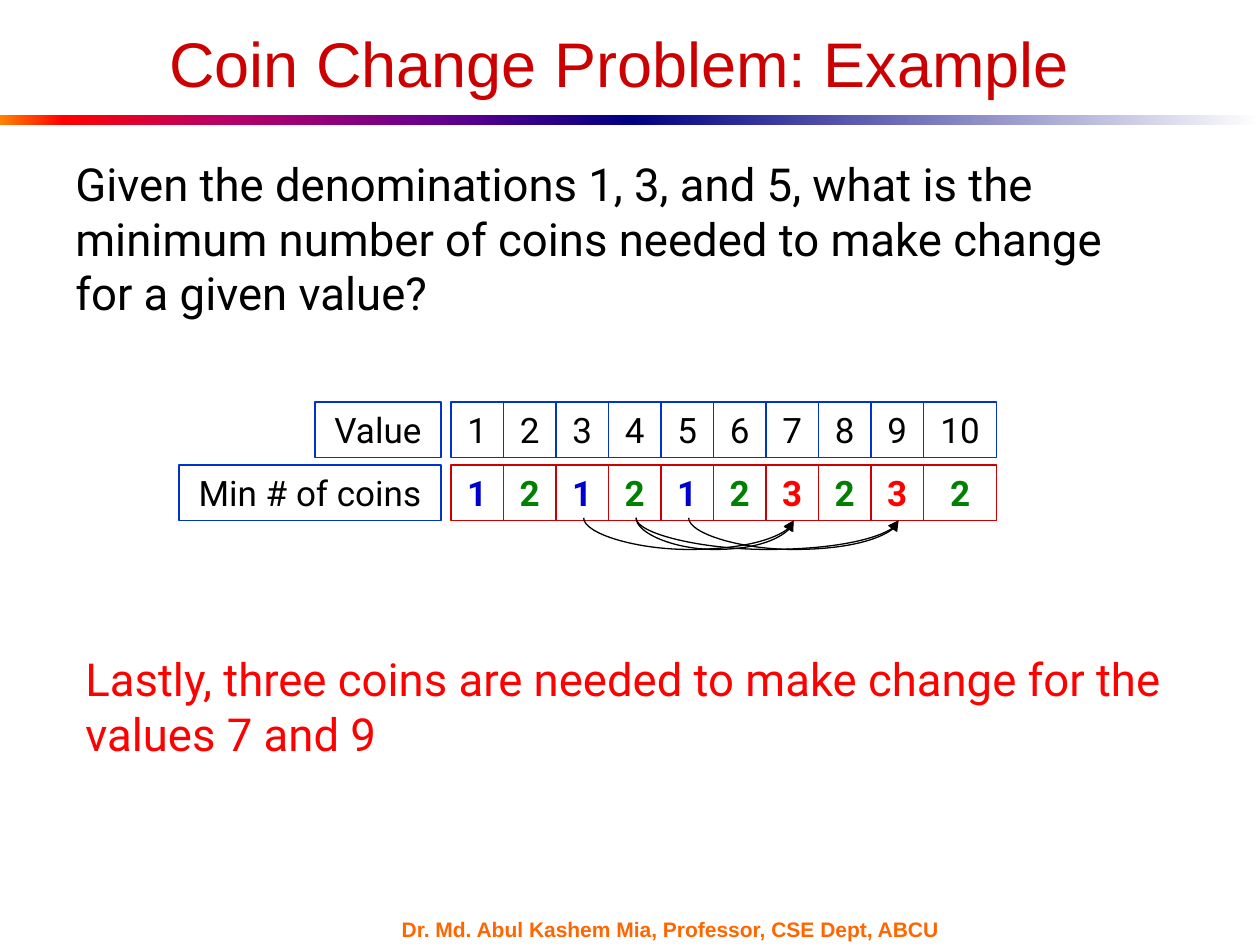
from lxml.etree import SubElement
from pptx import Presentation
from pptx.dml.color import RGBColor
from pptx.enum.shapes import MSO_CONNECTOR, MSO_SHAPE
from pptx.enum.text import MSO_ANCHOR, PP_ALIGN
from pptx.oxml.ns import qn
from pptx.util import Inches, Pt

BLACK = RGBColor(0x00, 0x00, 0x00)
RED = RGBColor(0xFF, 0x00, 0x00)
DARK_RED = RGBColor(0xCC, 0x00, 0x00)
GREEN = RGBColor(0x00, 0x80, 0x00)
BLUE = RGBColor(0x00, 0x00, 0xCC)
BORDER_BLUE = RGBColor(0x00, 0x33, 0xCC)
ORANGE = RGBColor(0xFF, 0x66, 0x00)
NAVY = RGBColor(0x00, 0x00, 0x82)
WHITE = RGBColor(0xFF, 0xFF, 0xFF)
AMBER = RGBColor(0xFF, 0x82, 0x00)
CRIMSON = RGBColor(0xBA, 0x00, 0x66)
PURPLE = RGBColor(0x66, 0x00, 0x8F)

prs = Presentation()
prs.slide_width, prs.slide_height = Inches(10), Inches(7.5)
slide = prs.slides.add_slide(prs.slide_layouts[6])


def add_text(text, left, top, width, height, size, color, font="Roboto",
             bold=False, align=PP_ALIGN.LEFT, anchor=MSO_ANCHOR.TOP, wrap=True):
    box = slide.shapes.add_textbox(Inches(left), Inches(top), Inches(width), Inches(height))
    box.text_frame.word_wrap = wrap
    box.text_frame.vertical_anchor = anchor
    paragraph = box.text_frame.paragraphs[0]
    paragraph.text = text
    paragraph.alignment = align
    paragraph.font.name = font
    paragraph.font.size = Pt(size)
    paragraph.font.bold = bold
    paragraph.font.color.rgb = color
    return box


def add_cell(text, left, top, width, border, color=BLACK, bold=False):
    cell = add_text(text, left, top, width, 0.44, 20, color, bold=bold,
                    align=PP_ALIGN.CENTER)
    cell.line.color.rgb = border
    cell.line.width = Pt(0.75)


# Gradient rule under the title
rule_halves = [
    (0, [(0, AMBER), (10, RED), (35, CRIMSON), (70, PURPLE), (100, NAVY)]),
    (5, [(0, NAVY), (100, WHITE)]),
]
for left, stops in rule_halves:
    rule = slide.shapes.add_shape(MSO_SHAPE.RECTANGLE, Inches(left), Inches(0.91),
                                  Inches(5), Inches(0.08))
    rule.shadow.inherit = False
    rule.line.fill.background()
    rule.fill.gradient()
    rule.fill.gradient_angle = 0
    stop_list = rule._element.spPr.find(qn("a:gradFill")).find(qn("a:gsLst"))
    stop_list.clear()
    for percent, color in stops:
        stop = SubElement(stop_list, qn("a:gs"), pos=str(percent * 1000))
        SubElement(stop, qn("a:srgbClr"), val=str(color))

# Title, question and footer
add_text("Coin Change Problem: Example", 0.5, 0.05, 8.83, 0.89, 36, DARK_RED,
         font="Arial", align=PP_ALIGN.CENTER, anchor=MSO_ANCHOR.MIDDLE)
add_text("Given the denominations 1, 3, and 5, what is the minimum number of coins "
         "needed to make change for a given value?", 0.5, 1.19, 8.83, 1.41, 26, BLACK)
add_text("Dr. Md. Abul Kashem Mia, Professor, CSE Dept, ABCU", 3.09, 7.28, 4.67, 0.18,
         12, ORANGE, font="Arial", bold=True, anchor=MSO_ANCHOR.MIDDLE, wrap=False)

# Row labels
VALUE_TOP, COINS_TOP = 3.19, 3.69
add_cell("Value", 2.5, VALUE_TOP, 1, BORDER_BLUE)
add_cell("Min # of coins", 1.42, COINS_TOP, 2.08, BORDER_BLUE)

# Values and the coins each one needs
GRID_LEFT, CELL_WIDTH = 3.58, 5 / 12
min_coins = [1, 2, 1, 2, 1, 2, 3, 2, 3, 2]
coin_colors = {1: BLUE, 2: GREEN, 3: RED}
for value, coins in enumerate(min_coins, start=1):
    left = GRID_LEFT + (value - 1) * CELL_WIDTH
    width = 0.58 if value == 10 else CELL_WIDTH
    add_cell(str(value), left, VALUE_TOP, width, BORDER_BLUE)
    add_cell(str(coins), left, COINS_TOP, width, DARK_RED, coin_colors[coins], bold=True)

# Curved arrows from smaller values to 7 and 9, drawn upright and turned by 270°
ARROW_Y, ARROW_RISE, ARROW_DEPTH = 4.12, 0.02, 0.25
for source, target in [(4, 7), (3, 7), (5, 9), (4, 9)]:
    middle = GRID_LEFT + ((source + target) / 2 - 0.5) * CELL_WIDTH + 0.01
    half_span = (target - source) * CELL_WIDTH / 2
    arrow = slide.shapes.add_connector(
        MSO_CONNECTOR.CURVE,
        Inches(middle + ARROW_RISE / 2), Inches(ARROW_Y - half_span),
        Inches(middle - ARROW_RISE / 2), Inches(ARROW_Y + half_span))
    arrow.line.color.rgb = BLACK
    arrow.line.width = Pt(0.75)
    properties = arrow._element.spPr
    properties.find(qn("a:xfrm")).set("rot", str(270 * 60000))
    adjustments = properties.find(qn("a:prstGeom")).find(qn("a:avLst"))
    SubElement(adjustments, qn("a:gd"), name="adj1",
               fmla=f"val {round(ARROW_DEPTH / ARROW_RISE * 100000)}")
    SubElement(properties.find(qn("a:ln")), qn("a:tailEnd"), type="triangle")
    SubElement(properties, qn("a:effectLst"))

# Conclusion
add_text("Lastly, three coins are needed to make change for the values 7 and 9",
         0.58, 5.12, 8.83, 0.98, 26, RED)

prs.save("out.pptx")
